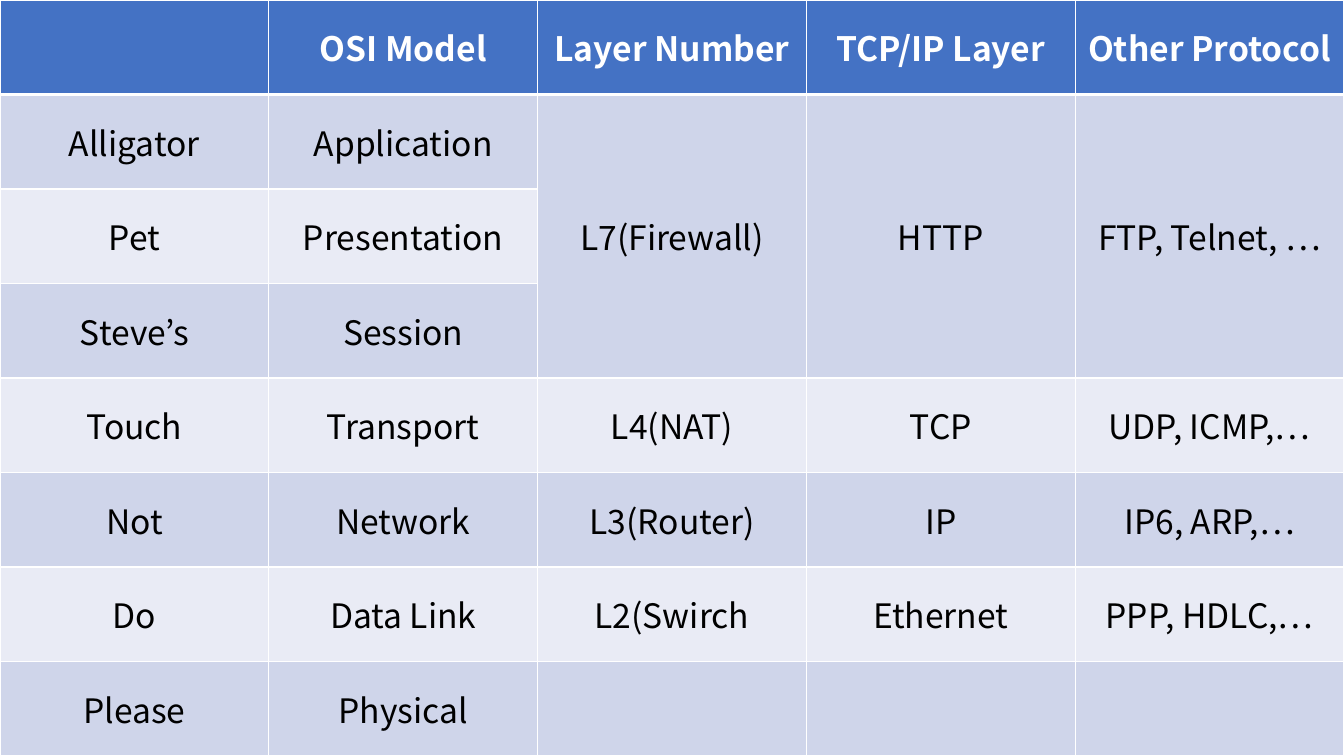
from lxml.etree import SubElement
from pptx import Presentation
from pptx.dml.color import RGBColor
from pptx.enum.text import MSO_ANCHOR as Anchor, PP_ALIGN as Align
from pptx.oxml.ns import qn
from pptx.util import Emu, Pt

EMU_PER_PIXEL = 914400 / 100.8
SLIDE_WIDTH, SLIDE_HEIGHT = 1344, 756
FONT = "Noto Sans CJK KR"
WHITE = RGBColor(0xFF, 0xFF, 0xFF)
BLACK = RGBColor(0x00, 0x00, 0x00)
HEADER_BLUE = RGBColor(0x44, 0x72, 0xC4)
BAND_DARK = RGBColor(0xCF, 0xD5, 0xEA)
BAND_LIGHT = RGBColor(0xE9, 0xEB, 0xF5)

LAYERS = [
    ["", "OSI Model", "Layer Number", "TCP/IP Layer", "Other Protocol"],
    ["Alligator", "Application", "L7(Firewall)", "HTTP", "FTP, Telnet, …"],
    ["Pet", "Presentation", "", "", ""],
    ["Steve’s", "Session", "", "", ""],
    ["Touch", "Transport", "L4(NAT)", "TCP", "UDP, ICMP,…"],
    ["Not", "Network", "L3(Router)", "IP", "IP6, ARP,…"],
    ["Do", "Data Link", "L2(Swirch", "Ethernet", "PPP, HDLC,…"],
    ["Please", "Physical", "", "", ""],
]
MERGED_ROWS = (1, 3)
MERGED_COLUMNS = (2, 3, 4)


def pixels(count):
    """Turn pixels into EMU."""
    return Emu(round(count * EMU_PER_PIXEL))


def write_text(cell, text, size=24, color=BLACK, bold=False):
    """Write centred text into a cell."""
    cell.vertical_anchor = Anchor.MIDDLE
    paragraph = cell.text_frame.paragraphs[0]
    paragraph.alignment = Align.CENTER
    if text:
        run = paragraph.add_run()
        run.text = text
        run.font.name = FONT
        run.font.size = Pt(size)
        run.font.bold = bold
        run.font.color.rgb = color


def draw_borders(cell, left=1, right=1, top=1, bottom=1):
    """Draw white cell borders with widths in points."""
    properties = cell._tc.get_or_add_tcPr()
    for side, width in zip("LRTB", (left, right, top, bottom)):
        line = SubElement(properties, qn(f"a:ln{side}"), w=str(Pt(width)))
        fill = SubElement(line, qn("a:solidFill"))
        SubElement(fill, qn("a:srgbClr"), val=str(WHITE))


def fill_cell(cell, color):
    """Fill a cell with one colour."""
    cell.fill.solid()
    cell.fill.fore_color.rgb = color


def add_layer_table(slide):
    """Add the full-slide table of network layers."""
    row_count, column_count = len(LAYERS), len(LAYERS[0])
    table = slide.shapes.add_table(row_count, column_count, 0, 0,
                                   pixels(SLIDE_WIDTH), pixels(SLIDE_HEIGHT)).table
    for column in table.columns:
        column.width = pixels(SLIDE_WIDTH / column_count)
    for row in table.rows:
        row.height = pixels(SLIDE_HEIGHT / row_count)
    for row_index, texts in enumerate(LAYERS):
        for column_index, text in enumerate(texts):
            cell = table.cell(row_index, column_index)
            if row_index == 0:
                write_text(cell, text, color=WHITE, bold=True)
                draw_borders(cell, bottom=3)
                fill_cell(cell, HEADER_BLUE)
            else:
                write_text(cell, text)
                draw_borders(cell, top=3 if row_index == 1 else 1)
                fill_cell(cell, BAND_DARK if row_index % 2 else BAND_LIGHT)
    first_row, last_row = MERGED_ROWS
    for column_index in MERGED_COLUMNS:
        table.cell(first_row, column_index).merge(table.cell(last_row, column_index))


def main():
    """Build and save the slide."""
    presentation = Presentation()
    presentation.slide_width = pixels(SLIDE_WIDTH)
    presentation.slide_height = pixels(SLIDE_HEIGHT)
    slide = presentation.slides.add_slide(presentation.slide_layouts[6])
    add_layer_table(slide)
    presentation.save("out.pptx")


main()
